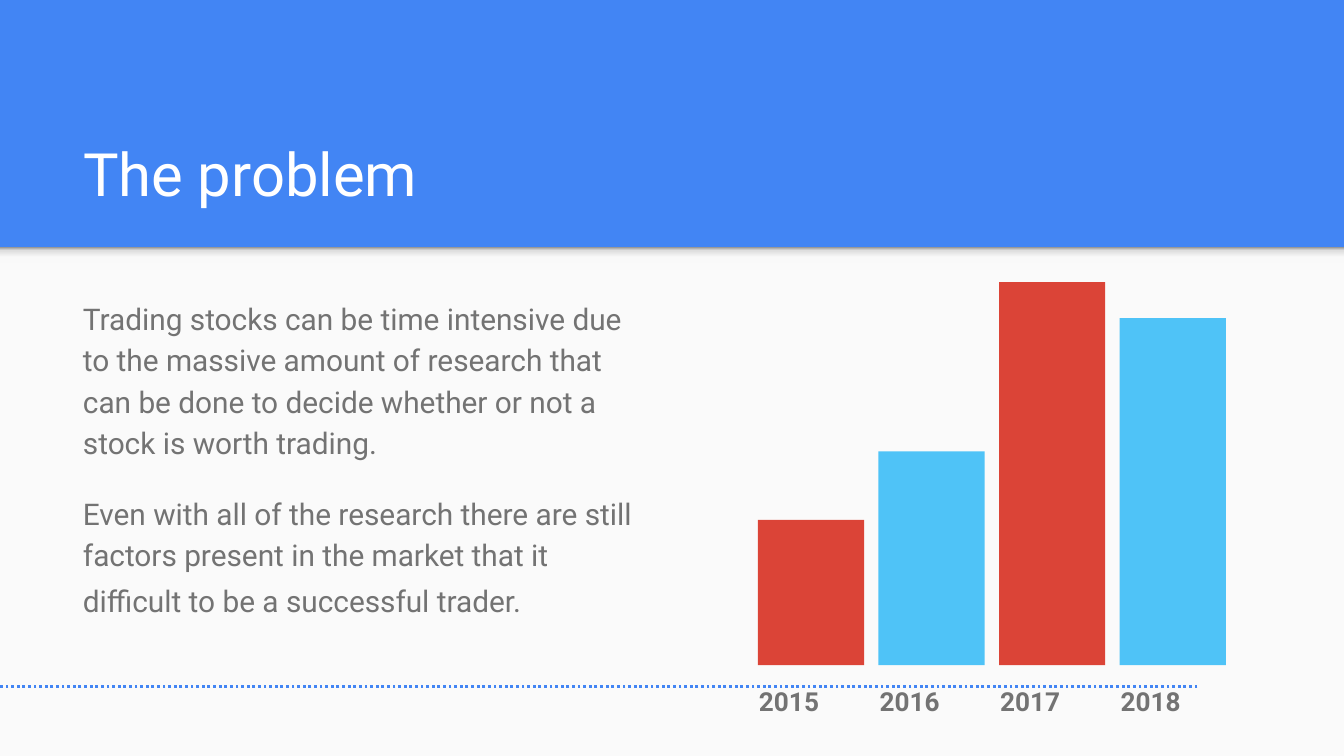
from lxml.etree import SubElement
from pptx import Presentation
from pptx.dml.color import RGBColor
from pptx.enum.dml import MSO_LINE_DASH_STYLE as Dash
from pptx.enum.shapes import MSO_CONNECTOR as Connector, MSO_SHAPE as Shape
from pptx.enum.text import MSO_ANCHOR as Anchor
from pptx.oxml.ns import qn
from pptx.util import Pt

BLUE = RGBColor(0x42, 0x85, 0xF4)
PAPER = RGBColor(0xFA, 0xFA, 0xFA)
WHITE = RGBColor(0xFF, 0xFF, 0xFF)
GRAY = RGBColor(0x73, 0x73, 0x73)
RED = RGBColor(0xDB, 0x44, 0x37)
SKY = RGBColor(0x4F, 0xC3, 0xF7)
SHADE_STOPS = [(0, "F9F9F9"), (36, "F9F9F9"), (80, "DEDEDE"), (100, "999999")]

FONT = "Roboto"
INSET = Pt(7.2)
NO_TABLE_STYLE = "{2D5ABB26-0587-4C30-8999-92F81FD0307C}"
WIDTH, HEIGHT = 720, 405
PARAGRAPHS = [
    "Trading stocks can be time intensive due to the massive amount of research "
    "that can be done to decide whether or not a stock is worth trading.",
    "Even with all of the research there are still factors present in the market "
    "that it difficult to be a successful trader.",
]
BARS = [("2015", 77.9, RED), ("2016", 114.6, SKY), ("2017", 205.2, RED), ("2018", 185.9, SKY)]


def style_font(font, size, color, bold=False):
    font.name = FONT
    font.size = Pt(size)
    font.color.rgb = color
    font.bold = bold


def add_rectangle(slide, left, top, width, height, color):
    shape = slide.shapes.add_shape(
        Shape.RECTANGLE, Pt(left), Pt(top), Pt(width), Pt(height))
    shape.shadow.inherit = False
    shape.fill.solid()
    shape.fill.fore_color.rgb = color
    shape.line.fill.background()
    return shape


def add_text_frame(slide, left, top, width, height, anchor):
    box = slide.shapes.add_textbox(Pt(left), Pt(top), Pt(width), Pt(height))
    frame = box.text_frame
    frame.word_wrap = True
    frame.vertical_anchor = anchor
    frame.margin_left = frame.margin_right = INSET
    frame.margin_top = frame.margin_bottom = INSET
    return frame


def add_backdrop(slide, left, top, width, height):
    slide.background.fill.solid()
    slide.background.fill.fore_color.rgb = BLUE
    add_rectangle(slide, left, top, width, height, PAPER)
    shade = add_rectangle(slide, left, top, width, 8.6, PAPER)
    shade.fill.gradient()
    shade.fill.gradient_angle = 90
    stop_list = shade._element.spPr.find(qn("a:gradFill")).find(qn("a:gsLst"))
    for stop in list(stop_list):
        stop_list.remove(stop)
    for percent, color in SHADE_STOPS:
        stop = SubElement(stop_list, qn("a:gs"), pos=str(percent * 1000))
        SubElement(stop, qn("a:srgbClr"), val=color)


def add_title(slide, left, top, width, height):
    frame = add_text_frame(slide, left, top, width, height, Anchor.BOTTOM)
    paragraph = frame.paragraphs[0]
    paragraph.text = "The problem"
    style_font(paragraph.font, 32, WHITE)


def add_body(slide, left, top, width, height):
    frame = add_text_frame(slide, left, top, width, height, Anchor.TOP)
    for index, text in enumerate(PARAGRAPHS):
        paragraph = frame.add_paragraph() if index else frame.paragraphs[0]
        paragraph.line_spacing = 1.15
        paragraph.space_before = Pt(16 if index else 0)
        style_font(paragraph.font, 16, GRAY)
        paragraph.add_run().text = text
    tail = paragraph.add_run()
    tail.text = " "
    tail.font.size = Pt(18)


def add_year_labels(slide, left, top, pitch, height):
    frame = slide.shapes.add_table(
        1, len(BARS), Pt(left), Pt(top), Pt(pitch * len(BARS)), Pt(height))
    table = frame.table
    table.first_row = table.horz_banding = False
    table._tbl.tblPr.find(qn("a:tableStyleId")).text = NO_TABLE_STYLE
    for cell, (year, _, _) in zip(table.rows[0].cells, BARS):
        cell.fill.background()
        cell.margin_left = cell.margin_right = INSET
        cell.margin_top = cell.margin_bottom = INSET
        paragraph = cell.text_frame.paragraphs[0]
        paragraph.text = year
        paragraph.line_spacing = 1.15
        style_font(paragraph.font, 14, GRAY, bold=True)


def add_bars(slide, left, bottom, pitch, width):
    for index, (_, height, color) in enumerate(BARS):
        add_rectangle(slide, left + index * pitch, bottom - height, width, height, color)


def add_dotted_line(slide, start, end, y):
    line = slide.shapes.add_connector(Connector.STRAIGHT, Pt(start), Pt(y), Pt(end), Pt(y))
    line.line.color.rgb = BLUE
    line.line.width = Pt(1.5)
    line.line.dash_style = Dash.ROUND_DOT
    SubElement(line._element.spPr, qn("a:effectLst"))


def main():
    presentation = Presentation()
    presentation.slide_width = Pt(WIDTH)
    presentation.slide_height = Pt(HEIGHT)
    slide = presentation.slides.add_slide(presentation.slide_layouts[6])
    pitch = 64.6
    add_backdrop(slide, 0, 132.5, WIDTH, HEIGHT - 132.5)
    add_title(slide, 37.4, 58.3, 647.3, 60.5)
    add_body(slide, 37.4, 151.2, 314.6, 213.1)
    add_year_labels(slide, 399.4, 358.6, pitch, 18.7)
    add_bars(slide, 406, 356.4, pitch, 56.9)
    add_dotted_line(slide, 641.5, 0, 367.9)
    presentation.save("out.pptx")


if __name__ == "__main__":
    main()
